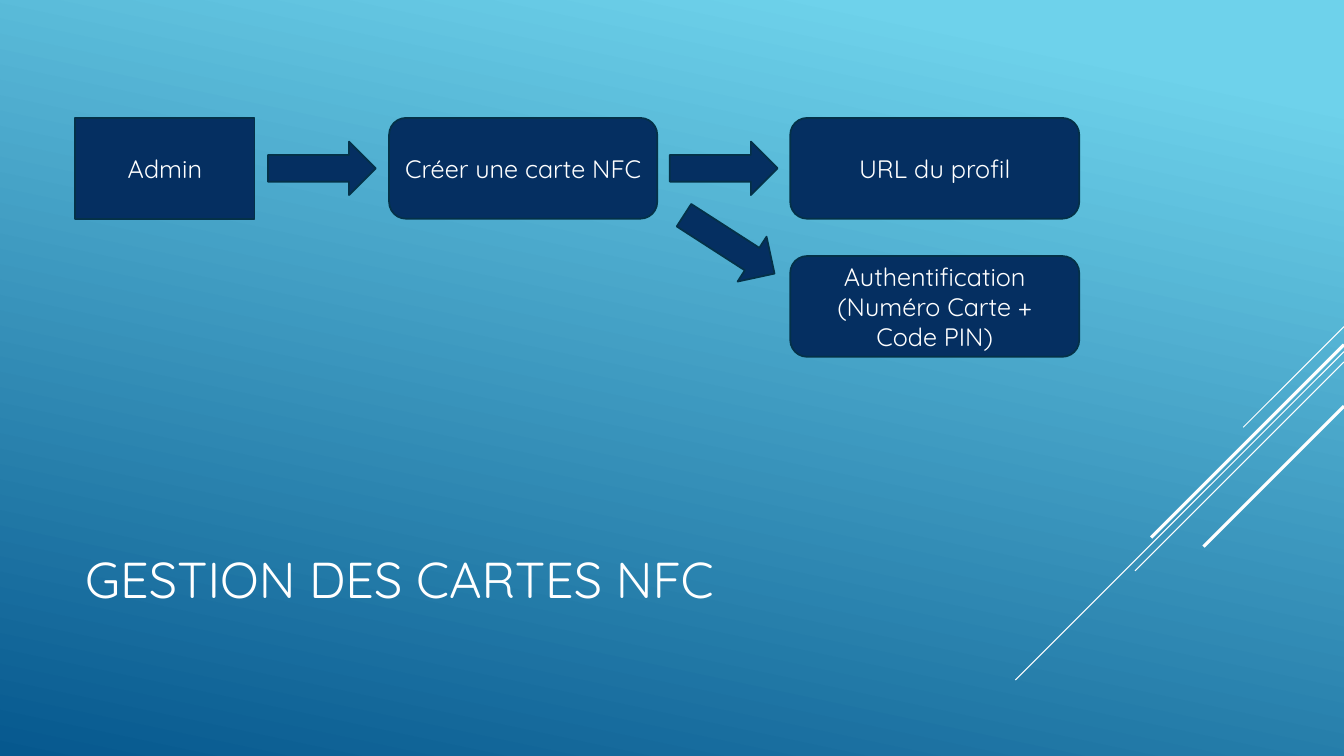
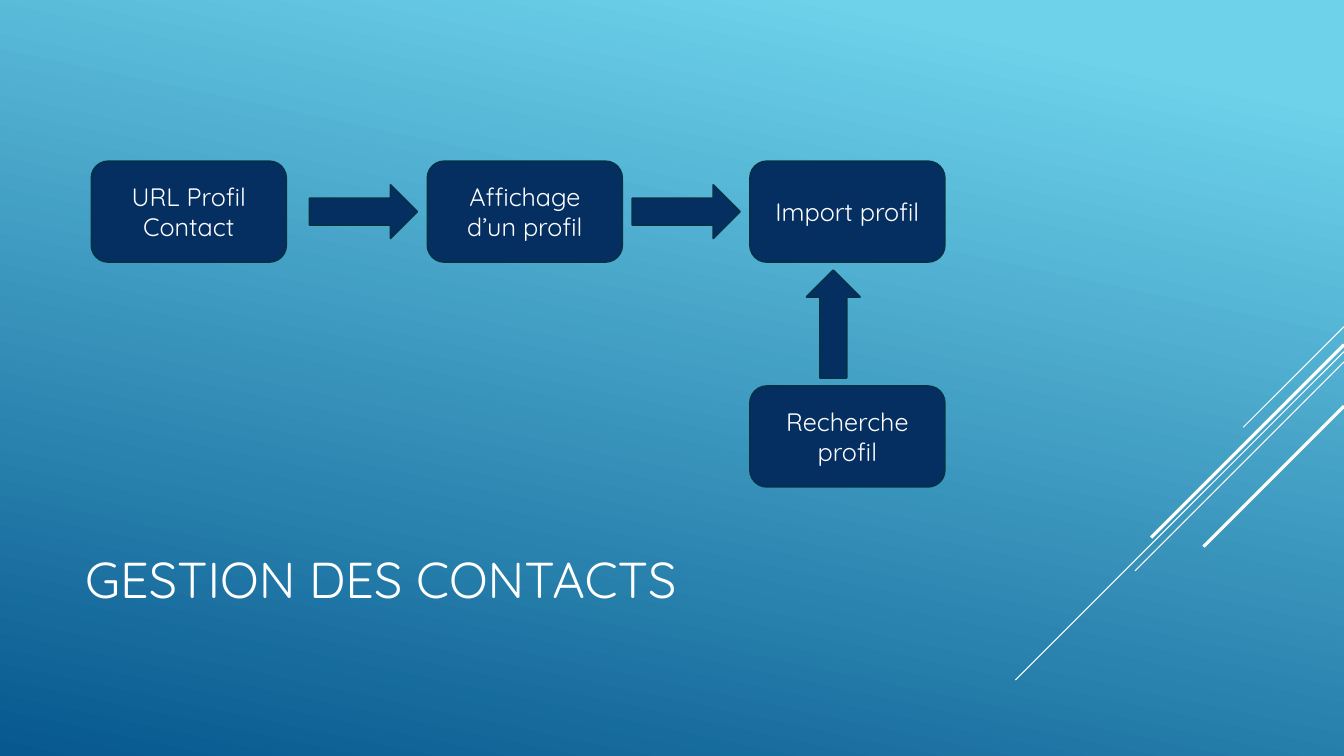
from dataclasses import dataclass

from lxml.etree import SubElement
from pptx import Presentation
from pptx.dml.color import RGBColor
from pptx.enum.shapes import MSO_CONNECTOR as Connector, MSO_SHAPE as Shape
from pptx.enum.text import MSO_ANCHOR as Anchor, PP_ALIGN as Align
from pptx.oxml.ns import qn
from pptx.util import Inches, Pt

SLIDE_WIDTH = Inches(13.33)
SLIDE_HEIGHT = Inches(7.5)
FONT = "Quicksand"
WHITE = "FFFFFF"
NAVY = "052F61"
NAVY_EDGE = "043148"
SKY = "6ED2EB"
DEEP_BLUE = "06588E"


def columns(share: float) -> int:
    return round(SLIDE_WIDTH * share / 100)


def rows(share: float) -> int:
    return round(SLIDE_HEIGHT * share / 100)


BOX_HEIGHT = 13.33
ARROW_LENGTH = columns(8.02)
ARROW_BREADTH = rows(7.07)


@dataclass(frozen=True)
class Streak:
    top: float
    run: float
    weight: float


@dataclass(frozen=True)
class Box:
    text: str
    left: float
    top: float
    width: float
    kind: Shape = Shape.ROUNDED_RECTANGLE

    @property
    def right(self) -> float:
        return self.left + self.width

    @property
    def bottom(self) -> float:
        return self.top + BOX_HEIGHT

    @property
    def center(self) -> float:
        return self.left + self.width / 2

    @property
    def middle(self) -> float:
        return self.top + BOX_HEIGHT / 2


@dataclass(frozen=True)
class Link:
    source: Box
    target: Box
    upward: bool = False
    shift_columns: float = 0
    shift_rows: float = 0
    rotation: float = 0

    def midpoint(self) -> tuple[float, float]:
        source, target = self.source, self.target
        if self.upward:
            start, end = (source.center, source.top), (target.center, target.bottom)
        else:
            start, end = (source.right, source.middle), (target.left, target.middle)
        return (
            (start[0] + end[0]) / 2 + self.shift_columns,
            (start[1] + end[1]) / 2 + self.shift_rows,
        )


@dataclass(frozen=True)
class Flow:
    title: str
    boxes: tuple[Box, ...]
    links: tuple[Link, ...]


STREAKS = (
    Streak(43.2, 7.5, 0.75),
    Streak(46.5, 24.45, 0.75),
    Streak(47.87, 15.55, 0.75),
    Streak(45.6, 14.35, 2.25),
    Streak(53.73, 10.45, 2.25),
)


def card_flow() -> Flow:
    top, lower_top = 15.6, 33.87
    admin = Box("Admin", 5.6, top, 13.35, Shape.RECTANGLE)
    card = Box("Créer une carte NFC", 28.95, top, 19.95)
    address = Box("URL du profil", 58.8, top, 21.5)
    login = Box("Authentification (Numéro Carte + Code PIN)", 58.8, lower_top, 21.5)
    links = (
        Link(admin, card),
        Link(card, address),
        Link(card, login, shift_columns=0.41, shift_rows=0.93, rotation=32.8),
    )
    return Flow("GESTION DES CARTES NFC", (admin, card, address, login), links)


def contact_flow() -> Flow:
    top, lower_top, width = 21.33, 51.07, 14.5
    address = Box("URL Profil Contact", 6.8, top, width)
    display = Box("Affichage d’un profil", 31.8, top, width)
    imported = Box("Import profil", 55.8, top, width)
    search = Box("Recherche profil", 55.8, lower_top, width)
    links = (
        Link(address, display, shift_columns=0.49),
        Link(display, imported),
        Link(search, imported, upward=True, shift_columns=-1.05),
    )
    return Flow("GESTION DES CONTACTS", (address, display, imported, search), links)


def color(value: str) -> RGBColor:
    return RGBColor.from_string(value)


def write_text(shape, text: str, size: float, alignment: Align) -> None:
    frame = shape.text_frame
    frame.word_wrap = True
    frame.vertical_anchor = Anchor.MIDDLE
    paragraph = frame.paragraphs[0]
    paragraph.alignment = alignment
    run = paragraph.add_run()
    run.text = text
    run.font.name = FONT
    run.font.size = Pt(size)
    run.font.color.rgb = color(WHITE)


def paint_navy(shape) -> None:
    shape.shadow.inherit = False
    shape.fill.solid()
    shape.fill.fore_color.rgb = color(NAVY)
    shape.line.color.rgb = color(NAVY_EDGE)
    shape.line.width = Pt(1.25)


def paint_background(master) -> None:
    fill = master.background.fill
    fill.gradient()
    fill.gradient_angle = 360 - 102
    for stop, shade, position in zip(fill.gradient_stops, (SKY, DEEP_BLUE), (0.1, 1)):
        stop.color.rgb = color(shade)
        stop.position = position


def add_streak(slide, streak: Streak) -> None:
    run = columns(streak.run)
    top = rows(streak.top)
    line = slide.shapes.add_connector(
        Connector.STRAIGHT, SLIDE_WIDTH, top, SLIDE_WIDTH - run, top + run
    )
    line.line.color.rgb = color(WHITE)
    line.line.width = Pt(streak.weight)
    SubElement(line._element.spPr, qn("a:effectLst"))


def add_title(slide, text: str) -> None:
    title = slide.shapes.add_textbox(columns(5.6), rows(65.5), columns(70), rows(22))
    write_text(title, text, 36, Align.LEFT)


def add_box(slide, box: Box) -> None:
    shape = slide.shapes.add_shape(
        box.kind, columns(box.left), rows(box.top), columns(box.width), rows(BOX_HEIGHT)
    )
    paint_navy(shape)
    write_text(shape, box.text, 18, Align.CENTER)


def add_arrow(slide, link: Link) -> None:
    kind, width, height = Shape.RIGHT_ARROW, ARROW_LENGTH, ARROW_BREADTH
    if link.upward:
        kind, width, height = Shape.UP_ARROW, ARROW_BREADTH, ARROW_LENGTH
    center, middle = link.midpoint()
    arrow = slide.shapes.add_shape(
        kind, columns(center) - width // 2, rows(middle) - height // 2, width, height
    )
    arrow.rotation = link.rotation
    paint_navy(arrow)


def add_flow(presentation, flow: Flow) -> None:
    slide = presentation.slides.add_slide(presentation.slide_layouts[6])
    for streak in STREAKS:
        add_streak(slide, streak)
    add_title(slide, flow.title)
    for box in flow.boxes:
        add_box(slide, box)
    for link in flow.links:
        add_arrow(slide, link)


def main() -> None:
    presentation = Presentation()
    presentation.slide_width = SLIDE_WIDTH
    presentation.slide_height = SLIDE_HEIGHT
    paint_background(presentation.slide_master)
    for flow in (card_flow(), contact_flow()):
        add_flow(presentation, flow)
    presentation.save("out.pptx")


if __name__ == "__main__":
    main()
